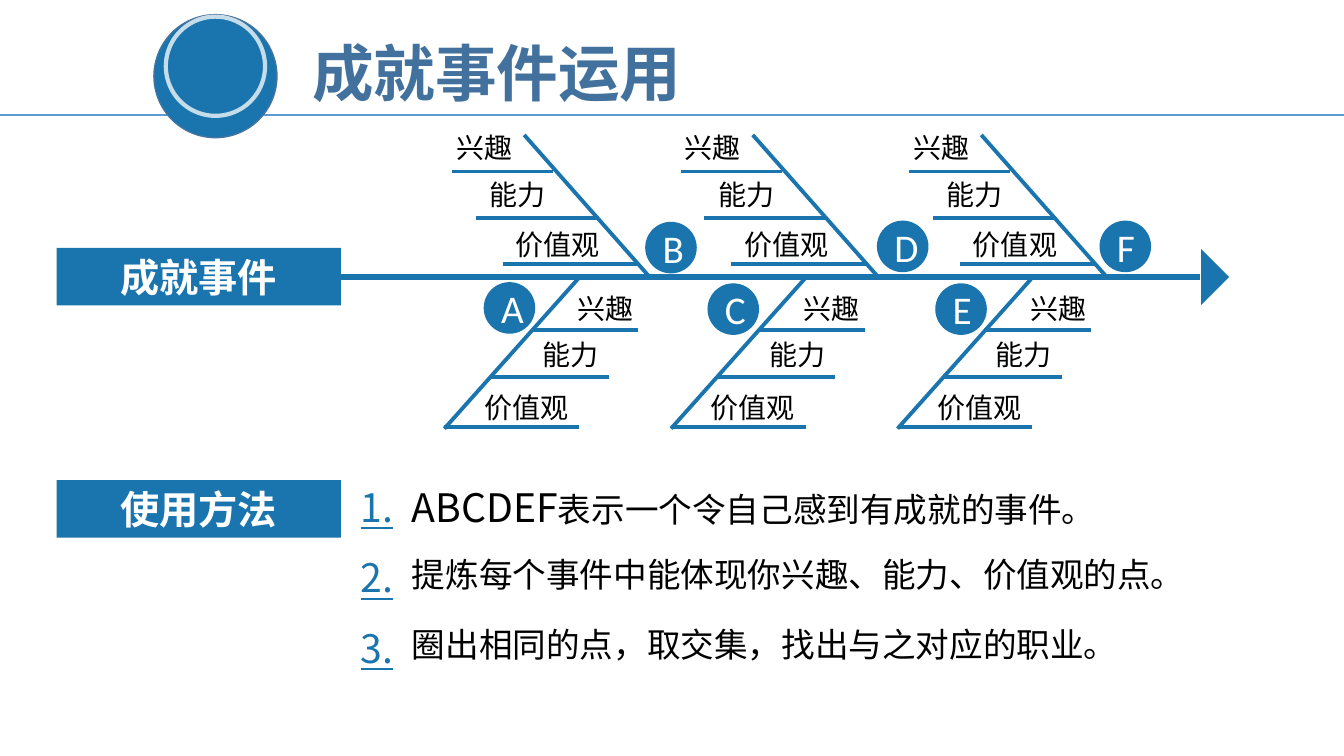
from lxml import etree
from pptx import Presentation
from pptx import util as u
from pptx.dml.color import RGBColor
from pptx.enum import shapes, text
from pptx.oxml.ns import qn

BLUE, WHITE, BLACK = "1A75AE", "FFFFFF", "000000"
SANS = "Noto Sans CJK SC"
LABEL_HEIGHT = 1.12
UPPER_BONE = ((5.23, 3.84), (2.06, 0.25))
UPPER_TWIGS = [
    ("兴趣", (0, 0, 2.11), (0.25, 2.79, 1.17)),
    ("能力", (0.84, 1.19, 2.11), (0.84, 3.94, 2.34)),
    ("价值观", (1.4, 2.44, 3.02), (1.52, 4.93, 3.51)),
]
LOWER_BONE = ((3.4, 0), (0, 3.81))
LOWER_TWIGS = [
    ("兴趣", (2.72, 0.23, 2.67), (2.18, 4.88, 1.32)),
    ("能力", (2.13, 1.37, 2.11), (1.14, 4.14, 2.51)),
    ("价值观", (0.61, 2.72, 2.9), (0, 3.4, 3.78)),
]
EVENTS = [("A", 12.19, 7.11), ("B", 16.26, 5.59), ("C", 17.83, 7.14),
          ("D", 22.1, 5.56), ("E", 23.57, 7.14), ("F", 27.71, 5.56)]
STEPS = [
    [("ABCDEF", 28), ("表示一个令自己感到有成就的事件。", 24)],
    [("提炼每个事件中能体现你兴趣、能力、价值观的点。", 24)],
    [("圈出相同的点，取交集，找出与之对应的职业。", 24)],
]


def rgb(value):
    return RGBColor.from_string(value)


def style(paragraph, size, color, font=SANS, bold=False, underline=False,
          align=text.PP_ALIGN.CENTER):
    paragraph.alignment = align
    face = paragraph.font
    face.size, face.bold, face.underline = u.Pt(size), bold, underline
    face.color.rgb = rgb(color)
    face.name = font
    defaults = paragraph._p.pPr.find(qn("a:defRPr"))
    etree.SubElement(defaults, qn("a:ea"), typeface=font)


def write(slide, box, runs, size, color, **options):
    label = slide.shapes.add_textbox(*map(u.Cm, box))
    frame = label.text_frame
    frame.word_wrap = True
    frame.vertical_anchor = text.MSO_ANCHOR.MIDDLE
    paragraph = frame.paragraphs[0]
    for words, run_size in runs:
        run = paragraph.add_run()
        run.text = words
        if run_size != size:
            run.font.size = u.Pt(run_size)
    style(paragraph, size, color, **options)


def draw(slide, kind, box, fill=None, line=None, width=1):
    shape = slide.shapes.add_shape(kind, *map(u.Cm, box))
    shape.shadow.inherit = False
    if fill:
        shape.fill.solid()
        shape.fill.fore_color.rgb = rgb(fill)
    else:
        shape.fill.background()
    if line:
        shape.line.color.rgb = rgb(line)
        shape.line.width = u.Pt(width)
    else:
        shape.line.fill.background()
    return shape


def stroke(slide, start, end, width=2.75, color=BLUE):
    line = slide.shapes.add_connector(
        shapes.MSO_CONNECTOR.STRAIGHT, *map(u.Cm, (*start, *end)))
    line.line.color.rgb = rgb(color)
    line.line.width = u.Pt(width)
    etree.SubElement(line._element.spPr, qn("a:effectLst"))


def header(slide, left, top):
    title = slide.shapes.title
    title.left, title.top = u.Cm(left + 3.73), u.Cm(top + 0.38)
    title.width, title.height = u.Cm(9.93), u.Cm(2.13)
    title.text_frame.text = "成就事件运用"
    title.text_frame.word_wrap = False
    title.text_frame.auto_size = text.MSO_AUTO_SIZE.NONE
    title.text_frame.vertical_anchor = text.MSO_ANCHOR.MIDDLE
    style(title.text_frame.paragraphs[0], 44, "41719C", "Noto Sans CJK JP",
          bold=True, align=text.PP_ALIGN.LEFT)
    stroke(slide, (0, top + 2.52), (33.87, top + 2.52), 1.5, "5B9BD5")
    oval = shapes.MSO_SHAPE.OVAL
    draw(slide, oval, (left, top, 3.1, 3.1), BLUE, "43739E")
    ring = draw(slide, oval, (left + 0.3, top + 0.05, 2.5, 2.5), None, WHITE, 3)
    tint = ring.line._ln.find(".//" + qn("a:srgbClr"))
    etree.SubElement(tint, qn("a:alpha"), val="74000")


def banner(slide, left, top, words):
    plate = draw(slide, shapes.MSO_SHAPE.RECTANGLE, (left, top, 7.16, 1.45), BLUE)
    plate.text_frame.text = words
    plate.text_frame.vertical_anchor = text.MSO_ANCHOR.MIDDLE
    style(plate.text_frame.paragraphs[0], 28, WHITE, bold=True)


def fishbone(slide, left, top, bone, twigs):
    stroke(slide, *((left + x, top + y) for x, y in bone))
    for word, (x, y, width), (start, end, level) in twigs:
        stroke(slide, (left + start, top + level), (left + end, top + level))
        write(slide, (left + x, top + y, width, LABEL_HEIGHT),
              [(word, 20)], 20, BLACK)


def event_diagram(slide, left, top):
    banner(slide, left, top, "成就事件")
    axis = top + 0.73
    stroke(slide, (left + 7.16, axis), (30.25, axis), 5)
    arrow = draw(slide, shapes.MSO_SHAPE.RIGHT_TRIANGLE,
                 (29.77, axis - 0.5, 1, 1), BLUE)
    arrow.rotation = 225
    for index in range(3):
        fishbone(slide, 11.15 + 5.76 * index, axis - 3.83, UPPER_BONE, UPPER_TWIGS)
        fishbone(slide, 11.2 + 5.71 * index, axis + 0.01, LOWER_BONE, LOWER_TWIGS)
    for letter, x, y in EVENTS:
        event = draw(slide, shapes.MSO_SHAPE.OVAL, (x, y, 1.3, 1.3), BLUE)
        event.text_frame.text = letter
        event.text_frame.vertical_anchor = text.MSO_ANCHOR.MIDDLE
        style(event.text_frame.paragraphs[0], 28, WHITE, "Calibri")


def method(slide, left, top):
    banner(slide, left, top, "使用方法")
    for index, runs in enumerate(STEPS):
        y = top - 0.06 + 1.78 * index
        write(slide, (left + 7.13, y, 1.88, 1.45), [(f"{index + 1}.", 28)],
              28, BLUE, underline=True)
        step_height = 1.45 if index == 0 else 1.27
        write(slide, (left + 8.7, y, 22.5, step_height), runs, runs[0][1], BLACK,
              align=text.PP_ALIGN.LEFT)


def main():
    deck = Presentation()
    deck.slide_width, deck.slide_height = u.Cm(33.87), u.Cm(19.05)
    slide = deck.slides.add_slide(deck.slide_layouts[5])
    event_diagram(slide, 1.43, 6.25)
    method(slide, 1.43, 12.1)
    header(slide, 3.88, 0.37)
    deck.save("out.pptx")


if __name__ == "__main__":
    main()
